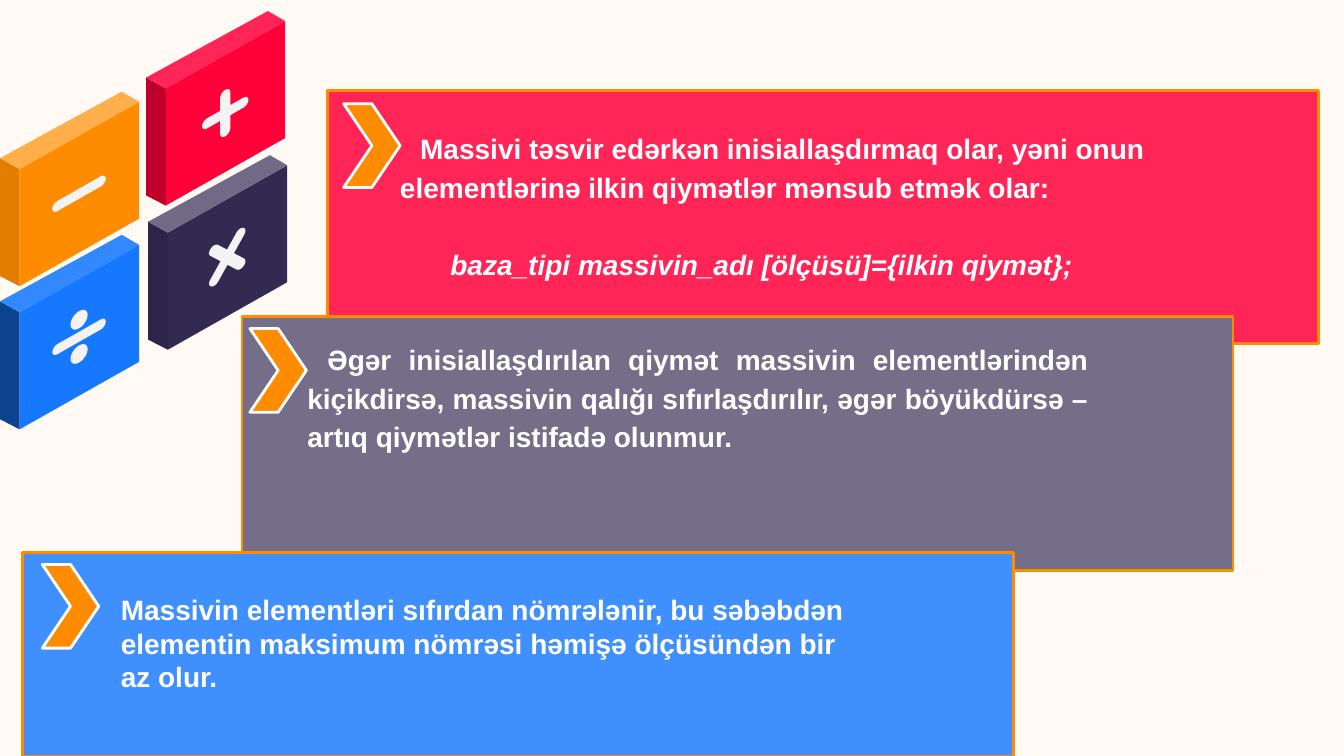
import math
from dataclasses import dataclass
from typing import Any

import pptx
import pptx.dml.color
import pptx.enum.shapes
import pptx.enum.text
import pptx.util

# The slide is a grid of 160 columns by 90 rows of square cells.
COLUMNS, ROWS = 160, 90
SLIDE_HEIGHT = pptx.util.Inches(7.5)
CELL = SLIDE_HEIGHT / ROWS

COLOURS = {
    "background": "FFFAF4",
    "white": "FFFFFF",
    "symbol": "F3F3F4",
    "orange": "FF8C00", "orange side": "E37D00", "orange top": "FFAE4C",
    "blue": "1578FF", "blue side": "0C438F", "blue top": "3188FF",
    "purple": "332A52", "purple side": "2D2549", "purple top": "706A86",
    "red": "FF0039", "red side": "BF002B", "red top": "FF2657",
    "red panel": "FF2657", "grey panel": "746E88", "blue panel": "3F8FFD",
}
FONT = {"name": "Arial", "size": pptx.util.Pt(20), "bold": True}
LEFT = pptx.enum.text.PP_ALIGN.LEFT
JUSTIFY = pptx.enum.text.PP_ALIGN.JUSTIFY
BODY = {"line_spacing": 1.15, "alignment": LEFT}

Point = tuple[float, float]

TILE_FACES: dict[str, list[Point]] = {
    " side": [(0, 0), (0, 14.04), (2.34, 15.24), (2.34, 1.3)],
    "": [(16.56, -6.72), (2.34, 1.3), (2.34, 15.24), (16.56, 7.2)],
    " top": [(14.5, -7.92), (0, 0), (2.34, 1.3), (16.56, -6.72)],
}
FACE_CENTRE: Point = (9.42, 4.22)
FACE_SLOPE = 0.57


@dataclass
class Stroke:
    """A round-ended bar, given by half its length along each axis of the tile face."""
    half_x: float
    half_y: float
    radius: float = 0.6
    shift: float = 0


@dataclass
class Tile:
    colour: str
    column: float
    row: float
    symbol: list[Stroke]


@dataclass
class TextLine:
    text: str
    layout: dict[str, Any]
    left: float = 0
    first: float = 0
    italic: bool = False


@dataclass
class Panel:
    colour: str
    box: tuple[float, float, float, float]
    chevron: Point
    text_box: tuple[float, float, float, float]
    lines: list[TextLine]


MINUS = [Stroke(2.58, 0)]
DIVIDE = MINUS + [Stroke(0, 0, 1.02, shift) for shift in (-2.04, 2.04)]
TIMES = [Stroke(1.56, 1.7), Stroke(1.56, -1.92)]
PLUS = [Stroke(2.16, 0), Stroke(0, 2.16)]

TILES = [
    Tile("orange", 0, 18.84, MINUS),
    Tile("blue", 0, 35.88, DIVIDE),
    Tile("purple", 17.64, 26.4, TIMES),
    Tile("red", 17.4, 9.24, PLUS),
]

PANELS = [
    Panel("red panel", (39, 10.8, 118, 30.12), (40.92, 12.36), (46.44, 14.52, 94.08, 19.8), [
        TextLine("Massivi təsvir edərkən inisiallaşdırmaq olar, yəni onun "
                 "elementlərinə ilkin qiymətlər mənsub etmək olar:", BODY, first=2.4),
        TextLine("baza_tipi massivin_adı [ölçüsü]={ilkin qiymət};",
                 BODY | {"space_before": pptx.util.Pt(27.6)}, left=6, italic=True),
    ]),
    Panel("grey panel", (28.8, 37.68, 118, 30.24), (29.76, 39.12), (35.4, 39.6, 95.4, 15.24), [
        TextLine("Əgər inisiallaşdırılan qiymət massivin elementlərindən kiçikdirsə, "
                 "massivin qalığı sıfırlaşdırılır, əgər böyükdürsə – artıq qiymətlər "
                 "istifadə olunmur.", BODY | {"alignment": JUSTIFY}, first=2.4),
    ]),
    Panel("blue panel", (2.64, 65.76, 118, 24.24), (5.04, 67.2), (13.2, 69.96, 91.2, 13.32), [
        TextLine("Massivin elementləri sıfırdan nömrələnir, bu səbəbdən elementin "
                 "maksimum nömrəsi həmişə ölçüsündən bir az olur.", {"alignment": LEFT}),
    ]),
]


def cells(count: float) -> int:
    return round(count * CELL)


def colour_of(name: str) -> pptx.dml.color.RGBColor:
    return pptx.dml.color.RGBColor.from_string(COLOURS[name])


def apply_format(target: Any, values: dict[str, Any]) -> None:
    for name, value in values.items():
        setattr(target, name, value)


def paint(shape: Any, fill: str, line: str | None = None) -> None:
    shape.shadow.inherit = False
    shape.fill.solid()
    shape.fill.fore_color.rgb = colour_of(fill)
    if line is None:
        shape.line.fill.background()
    else:
        shape.line.color.rgb = colour_of(line)
        shape.line.width = pptx.util.Pt(2)


def draw_outline(slide: Any, points: list[Point], fill: str) -> None:
    corners = [(cells(x), cells(y)) for x, y in points]
    builder = slide.shapes.build_freeform(*corners[0], scale=1.0)
    builder.add_line_segments(corners[1:], close=True)
    paint(builder.convert_to_shape(), fill)


def stroke_points(stroke: Stroke) -> list[Point]:
    """Outline of the bar about the face centre, slanted with the face."""
    heading = math.atan2(stroke.half_y, stroke.half_x)
    points = []
    for end, turn in ((1, -math.pi / 2), (-1, math.pi / 2)):
        for step in range(13):
            angle = heading + turn + math.pi * step / 12
            x = end * stroke.half_x + stroke.radius * math.cos(angle)
            y = end * stroke.half_y + stroke.radius * math.sin(angle)
            points.append((x, y + stroke.shift - FACE_SLOPE * x))
    return points


def draw_tile(slide: Any, tile: Tile) -> None:
    def moved(points: list[Point], across: float = 0, down: float = 0) -> list[Point]:
        return [(tile.column + across + x, tile.row + down + y) for x, y in points]

    for face, corners in TILE_FACES.items():
        draw_outline(slide, moved(corners), tile.colour + face)
    for stroke in tile.symbol:
        draw_outline(slide, moved(stroke_points(stroke), *FACE_CENTRE), "symbol")


def draw_text(slide: Any, panel: Panel) -> None:
    frame = slide.shapes.add_textbox(*map(cells, panel.text_box)).text_frame
    frame.word_wrap = True
    for index, line in enumerate(panel.lines):
        paragraph = frame.add_paragraph() if index else frame.paragraphs[0]
        apply_format(paragraph, line.layout)
        properties = paragraph._p.get_or_add_pPr()
        properties.set("marL", str(cells(line.left)))
        properties.set("indent", str(cells(line.first)))
        run = paragraph.add_run()
        run.text = line.text
        apply_format(run.font, FONT | {"italic": line.italic})
        run.font.color.rgb = colour_of("white")


def draw_panel(slide: Any, panel: Panel) -> None:
    kinds = pptx.enum.shapes.MSO_SHAPE
    rectangle = slide.shapes.add_shape(kinds.RECTANGLE, *map(cells, panel.box))
    paint(rectangle, panel.colour, "orange")
    draw_text(slide, panel)
    chevron = slide.shapes.add_shape(kinds.CHEVRON, *map(cells, (*panel.chevron, 6.72, 9.96)))
    paint(chevron, "orange", "white")


def main() -> None:
    presentation = pptx.Presentation()
    apply_format(presentation, {"slide_width": cells(COLUMNS), "slide_height": SLIDE_HEIGHT})
    slide = presentation.slides.add_slide(presentation.slide_layouts[6])
    slide.background.fill.solid()
    slide.background.fill.fore_color.rgb = colour_of("background")
    for tile in TILES:
        draw_tile(slide, tile)
    for panel in PANELS:
        draw_panel(slide, panel)
    presentation.save("out.pptx")


if __name__ == "__main__":
    main()
